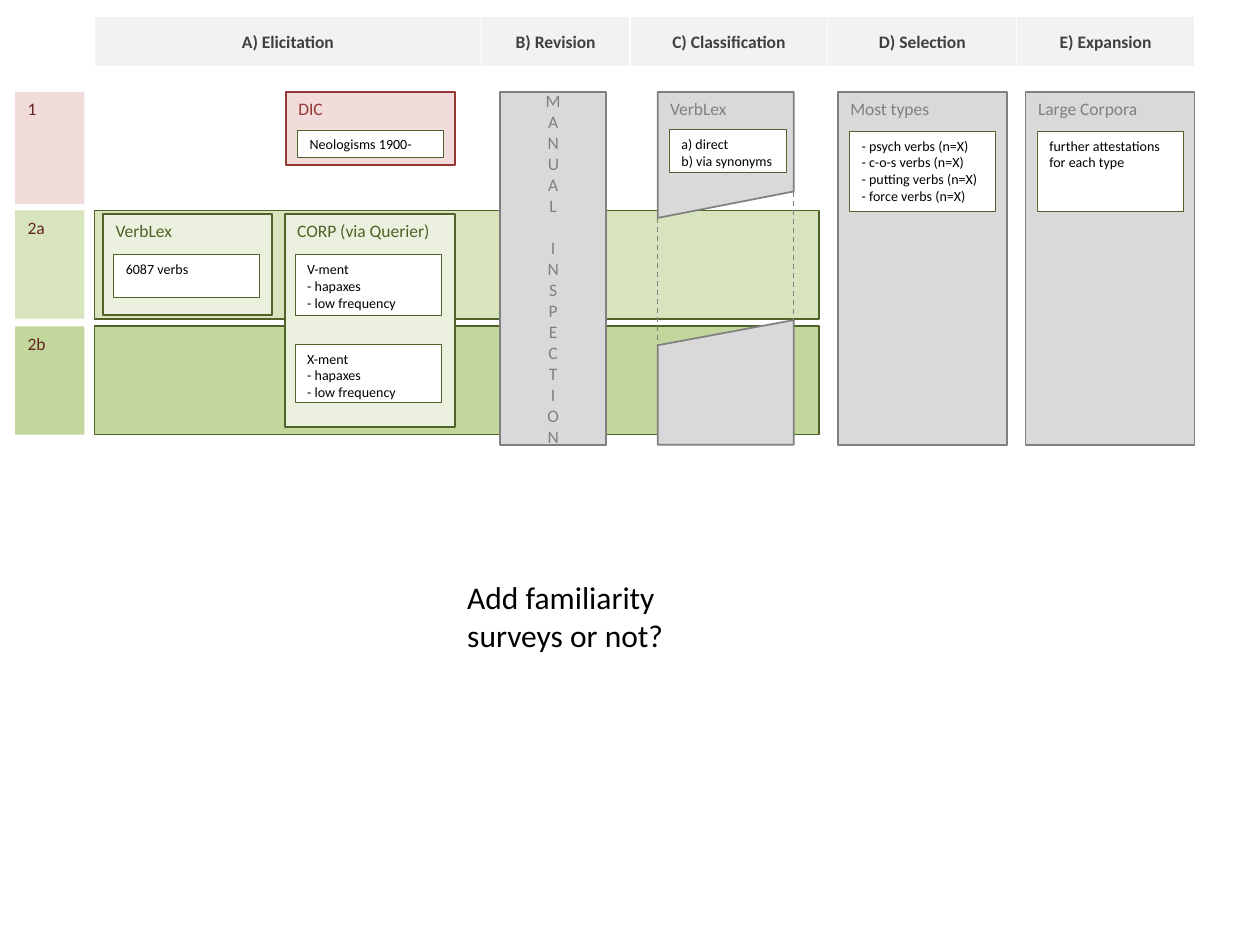
from lxml import etree
from pptx import Presentation, util as u
from pptx.dml.color import RGBColor
from pptx.enum import dml, shapes, text
from pptx.oxml import ns

GREEN, GREY, WINE = "4F6228", "808080", "632523"
# look: fill, line, line width, text size, text colour
LOOKS = {
    "tag1": ("F2DCDB", None, 0, 10, WINE),
    "tag2a": ("D7E4BD", None, 0, 10, WINE),
    "tag2b": ("C3D69B", None, 0, 10, WINE),
    "band2a": ("D7E4BD", GREEN, 1, 10, GREEN),
    "band2b": ("C3D69B", GREEN, 1, 10, GREEN),
    "red": ("F2DCDB", "953735", 1, 10, "953735"),
    "green": ("EBF1DE", GREEN, 1, 10, GREEN),
    "grey": ("D9D9D9", GREY, 1, 10, GREY),
    "note": ("FFFFFF", GREEN, 0.25, 8, "000000"),
}
TOP, END = 0.73, 3.53
TALL = END - TOP
ROWS = {"1": (TOP, 0.89), "2a": (1.67, 0.86), "2b": (2.59, 0.86)}
WIDE, INNER = 1.34, 1.16

prs = Presentation()
prs.slide_width, prs.slide_height = u.Inches(10), u.Inches(7.5)
slide = prs.slides.add_slide(prs.slide_layouts[6])
items = slide.shapes


def write(frame, words, **form):
    """Fill a text frame and give each paragraph the same font."""
    frame.text = words
    frame.word_wrap = True
    color = RGBColor.from_string(form.pop("color"))
    align = form.pop("align", text.PP_ALIGN.LEFT)
    for para in frame.paragraphs:
        para.alignment = align
        para.font.color.rgb = color
        for key, val in {"name": "Calibri", **form}.items():
            setattr(para.font, key, val)


def dress(shape, look, words=""):
    """Apply a named look and the words to a shape."""
    fill, line, width, size, color = LOOKS[look]
    shape.shadow.inherit = False
    shape.fill.solid()
    shape.fill.fore_color.rgb = RGBColor.from_string(fill)
    if line:
        shape.line.color.rgb = RGBColor.from_string(line)
        shape.line.width = u.Pt(width)
    else:
        shape.line.fill.background()
    frame = shape.text_frame
    frame.vertical_anchor = text.MSO_ANCHOR.TOP
    write(frame, words, size=u.Pt(size), color=color)
    return shape


# Phase headings
heads = {"A) Elicitation": 3.07, "B) Revision": 1.18, "C) Classification": 1.57,
         "D) Selection": 1.5, "E) Expansion": 1.41}
table = items.add_table(1, len(heads), *map(u.Inches, (0.75, 0.13, 8.73, 0.41))).table
for col, (name, wide) in enumerate(heads.items()):
    table.columns[col].width = u.Inches(wide)
    cell = table.cell(0, col)
    cell.vertical_anchor = text.MSO_ANCHOR.MIDDLE
    write(cell.text_frame, name, size=u.Pt(10), bold=True, color="404040",
          align=text.PP_ALIGN.CENTER)
    props = cell._tc.get_or_add_tcPr()
    for side, width in {"L": 1, "R": 1, "T": 1, "B": 3}.items():
        edge = etree.SubElement(props, ns.qn(f"a:ln{side}"), w=str(u.Pt(width)))
        paint = etree.SubElement(edge, ns.qn("a:solidFill"))
        etree.SubElement(paint, ns.qn("a:srgbClr"), val="FFFFFF")
    cell.fill.solid()
    cell.fill.fore_color.rgb = RGBColor.from_string("F2F2F2")

# Row tags and bands, then panels, then the notes on them
boxes = [("tag" + row, 0.12, top, 0.55, high, row) for row, (top, high) in ROWS.items()]
boxes += [("band" + row, 0.75, ROWS[row][0], 5.75, ROWS[row][1], "")
          for row in ("2b", "2a")]
boxes += [
    ("red", 2.27, TOP, WIDE, 0.58, "DIC"),
    ("green", 2.26, 1.7, 1.35, 1.69, "CORP (via Querier)"),
    ("green", 0.82, 1.7, WIDE, 0.8, "VerbLex"),
    ("grey", 6.65, TOP, WIDE, TALL, "Most types"),
    ("grey", 8.14, TOP, WIDE, TALL, "Large Corpora"),
    ("note", 2.36, 1.03, INNER, 0.22, "Neologisms 1900-"),
    ("note", 0.9, 2.02, INNER, 0.34, "6087 verbs"),
    ("note", 2.34, 2.02, INNER, 0.48, "V-ment\n- hapaxes\n- low frequency"),
    ("note", 2.34, 2.73, INNER, 0.46, "X-ment\n- hapaxes\n- low frequency"),
    ("note", 6.74, 1.04, INNER, 0.64, "- psych verbs (n=X)\n- c-o-s verbs (n=X)\n"
     "- putting verbs (n=X)\n- force verbs (n=X)"),
    ("note", 8.23, 1.04, INNER, 0.64, "further attestations for each type"),
]
for look, *place, words in boxes:
    dress(items.add_shape(shapes.MSO_SHAPE.RECTANGLE, *map(u.Inches, place)), look, words)

# Revision column with stacked letters
column = items.add_shape(shapes.MSO_SHAPE.RECTANGLE,
                         *map(u.Inches, (3.97, TOP, 0.84, TALL)))
frame = dress(column, "grey", "MANUAL INSPECTION").text_frame
frame.vertical_anchor = text.MSO_ANCHOR.MIDDLE
frame.paragraphs[0].alignment = text.PP_ALIGN.CENTER
column.element.txBody.bodyPr.set("vert", "wordArtVert")

# Classification column, cut open by two slanted edges
left, right = 5.22, 6.3
cuts = {left: (1.73, 2.74), right: (1.52, 2.54)}
for edge, side, words in ((TOP, 0, "VerbLex"), (END, 1, "")):
    first, *rest = [tuple(map(u.Inches, point)) for point in (
        (left, edge), (right, edge), (right, cuts[right][side]), (left, cuts[left][side]))]
    pen = items.build_freeform(*first)
    pen.add_line_segments(rest, close=True)
    dress(pen.convert_to_shape(), "grey", words)
for x, (start, stop) in cuts.items():
    dash = items.add_connector(shapes.MSO_CONNECTOR.STRAIGHT,
                               *map(u.Inches, (x, start, x, stop)))
    dash.line.color.rgb = RGBColor.from_string(GREY)
    dash.line.width = u.Pt(0.75)
    dash.line.dash_style = dml.MSO_LINE.DASH
    etree.SubElement(dash.element.spPr, ns.qn("a:effectLst"))
note = items.add_shape(shapes.MSO_SHAPE.RECTANGLE,
                       *map(u.Inches, (5.31, 1.03, 0.93, 0.34)))
dress(note, "note", "a) direct\nb) via synonyms")

# Open question
query = items.add_textbox(*map(u.Inches, (3.61, 4.54, 2.41, 0.71)))
write(query.text_frame, "Add familiarity surveys or not?", size=u.Pt(18), color="000000")

prs.save("out.pptx")
